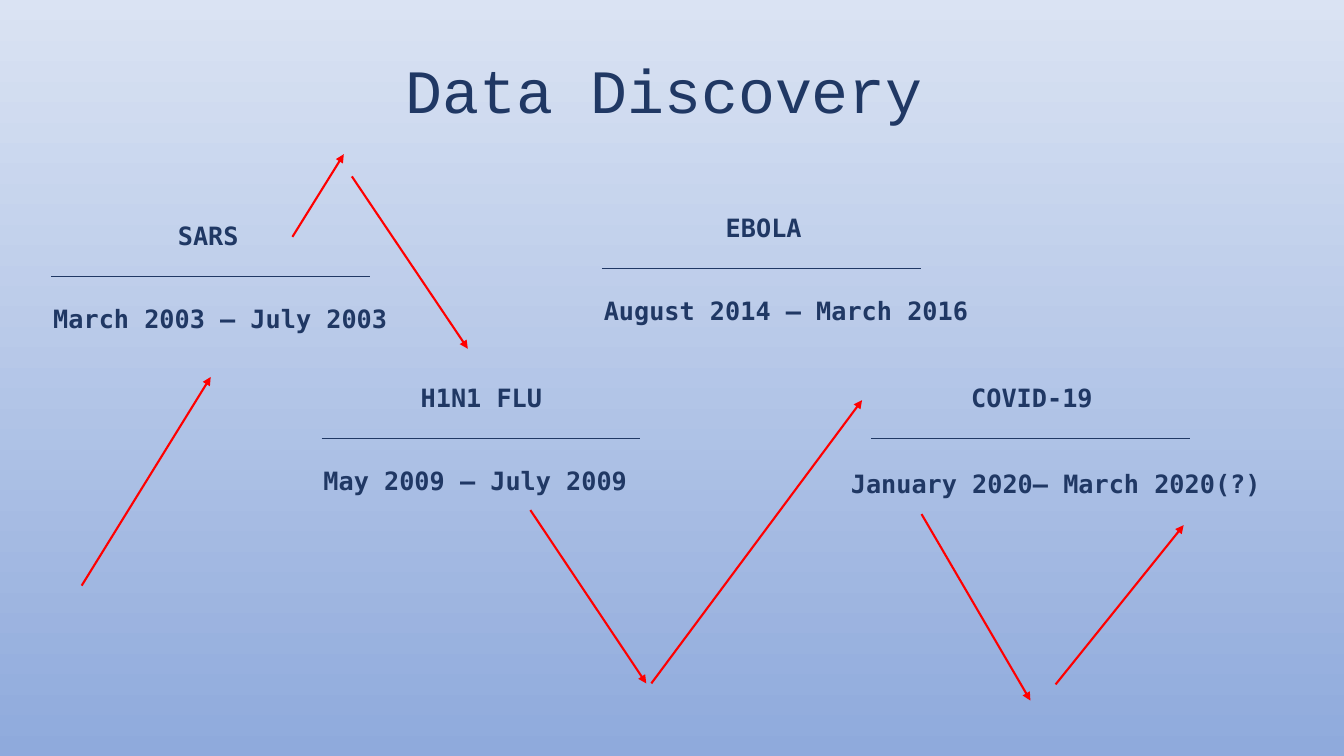
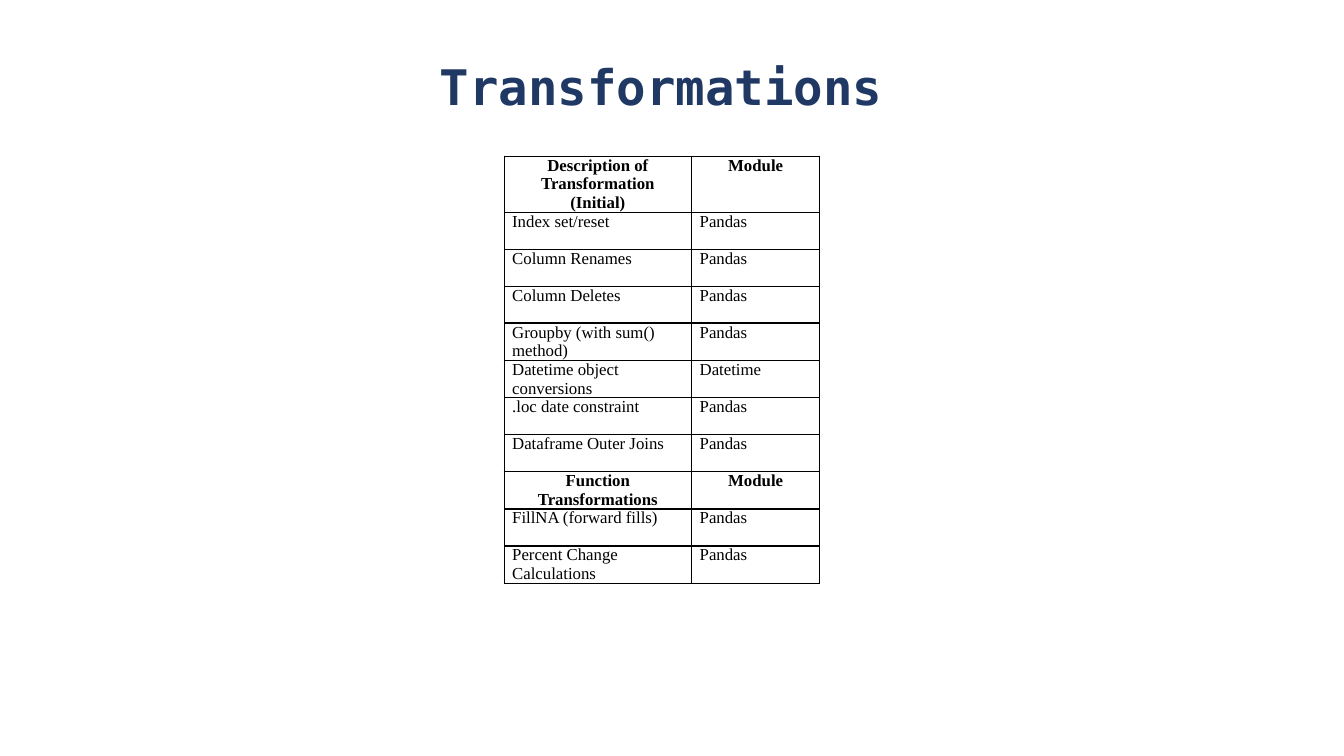
from dataclasses import dataclass

import lxml.etree
import pptx
import pptx.dml.color
import pptx.enum.shapes
import pptx.enum.text
import pptx.oxml.ns
import pptx.presentation
import pptx.shapes.connector
import pptx.slide
import pptx.table
import pptx.text.text
import pptx.util

Inches = pptx.util.Inches
Align = pptx.enum.text.PP_ALIGN
Anchor = pptx.enum.text.MSO_ANCHOR
qn = pptx.oxml.ns.qn


@dataclass(frozen=True)
class Theme:
    navy: str = "203864"
    red: str = "FF0000"
    black: str = "000000"
    white: str = "FFFFFF"
    sky_top: str = "DAE3F3"
    sky_bottom: str = "8FAADC"
    display_font: str = "Courier New"
    label_font: str = "DejaVu Sans Mono"
    table_font: str = "Times New Roman"
    display_size: float = 44
    title_size: float = 35
    label_size: float = 18
    table_size: float = 12
    rule_width: float = 0.5
    arrow_width: float = 1.5
    border_width: float = 1


@dataclass(frozen=True)
class Box:
    left: float
    top: float
    width: float
    height: float


@dataclass(frozen=True)
class Segment:
    start: tuple[float, float]
    end: tuple[float, float]


@dataclass(frozen=True)
class Outbreak:
    """A heading above a rule, with its dates below; (left, top) starts the rule."""
    name: str
    dates: str
    left: float
    top: float
    heading_shift: tuple[float, float] = (-0.22, -0.61)
    dates_shift: tuple[float, float] = (-0.08, 0.22)
    dates_size: tuple[float, float] = (3.63, 1.61)


THEME = Theme()
RULE_LENGTH = 3.16

OUTBREAKS = [
    Outbreak("SARS", "March 2003 – July 2003", 0.51, 2.74, heading_shift=(-0.26, -0.6)),
    Outbreak("H1N1 FLU", "May 2009 – July 2009", 3.19, 4.35, heading_shift=(-0.23, -0.61)),
    Outbreak("EBOLA", "August 2014 – March 2016", 5.97, 2.66,
             heading_shift=(-0.21, -0.6), dates_size=(3.97, 0.61)),
    Outbreak("COVID-19", "January 2020– March 2020(?)", 8.64, 4.35,
             dates_shift=(-0.3, 0.25), dates_size=(4.35, 1.61)),
]

TREND_ARROWS = [
    Segment((0.81, 5.81), (2.09, 3.74)),
    Segment((2.9, 2.35), (3.41, 1.53)),
    Segment((6.46, 6.78), (8.55, 3.97)),
    Segment((9.14, 5.1), (10.22, 6.95)),
    Segment((10.47, 6.79), (11.74, 5.21)),
    Segment((5.26, 5.06), (6.41, 6.78)),
    Segment((3.49, 1.75), (4.64, 3.46)),
]

TRANSFORMATIONS = [
    ("Description of Transformation (Initial)", "Module"),
    ("Index set/reset", "Pandas"),
    ("Column Renames", "Pandas"),
    ("Column Deletes", "Pandas"),
    ("Groupby (with sum() method)", "Pandas"),
    ("Datetime object conversions", "Datetime"),
    (".loc date constraint", "Pandas"),
    ("Dataframe Outer Joins", "Pandas"),
    ("Function Transformations", "Module"),
    ("FillNA (forward fills)", "Pandas"),
    ("Percent Change Calculations", "Pandas"),
]
COLUMN_WIDTHS = (1.86, 1.27)
ROW_HEIGHT = pptx.util.Pt(26.4)


# Shared helpers
def rgb(color: str) -> pptx.dml.color.RGBColor:
    return pptx.dml.color.RGBColor.from_string(color)


def write_text(frame: pptx.text.text.TextFrame, text: str, font: str, size: float,
               color: str = THEME.navy, bold: bool = False,
               align: Align = Align.LEFT) -> pptx.text.text._Paragraph:
    frame.word_wrap = True
    paragraph = frame.paragraphs[0]
    paragraph.text = text
    paragraph.alignment = align
    paragraph.font.name = font
    paragraph.font.size = pptx.util.Pt(size)
    paragraph.font.bold = bold
    paragraph.font.color.rgb = rgb(color)
    return paragraph


def add_titled_slide(presentation: pptx.presentation.Presentation, text: str, box: Box,
                     font: str, size: float, bold: bool, align: Align,
                     anchor: Anchor) -> pptx.slide.Slide:
    slide = presentation.slides.add_slide(presentation.slide_layouts[5])
    title = slide.shapes.title
    title.left, title.top = Inches(box.left), Inches(box.top)
    title.width, title.height = Inches(box.width), Inches(box.height)
    title.text_frame.auto_size = pptx.enum.text.MSO_AUTO_SIZE.NONE
    title.text_frame.vertical_anchor = anchor
    paragraph = write_text(title.text_frame, text, font, size, bold=bold, align=align)
    paragraph.line_spacing = 0.9
    return slide


def add_label(slide: pptx.slide.Slide, text: str, box: Box, align: Align) -> None:
    shape = slide.shapes.add_textbox(
        Inches(box.left), Inches(box.top), Inches(box.width), Inches(box.height))
    write_text(shape.text_frame, text, THEME.label_font, THEME.label_size,
               bold=True, align=align)


def add_line(slide: pptx.slide.Slide, segment: Segment, color: str, width: float,
             arrow: bool = False) -> None:
    connector = slide.shapes.add_connector(
        pptx.enum.shapes.MSO_CONNECTOR.STRAIGHT,
        *(Inches(value) for value in segment.start + segment.end))
    connector.line.color.rgb = rgb(color)
    connector.line.width = pptx.util.Pt(width)
    properties = connector.element.spPr
    if arrow:
        lxml.etree.SubElement(properties.find(qn("a:ln")), qn("a:tailEnd"), type="triangle")
    lxml.etree.SubElement(properties, qn("a:effectLst"))


def add_borders(cell: pptx.table._Cell) -> None:
    properties = cell._tc.get_or_add_tcPr()
    for position, side in enumerate(("lnL", "lnR", "lnT", "lnB")):
        border = lxml.etree.Element(
            qn(f"a:{side}"), w=str(int(pptx.util.Pt(THEME.border_width))))
        fill = lxml.etree.SubElement(border, qn("a:solidFill"))
        lxml.etree.SubElement(fill, qn("a:srgbClr"), val=THEME.black)
        properties.insert(position, border)


# Slide 1: outbreaks and their trends
def add_outbreak(slide: pptx.slide.Slide, outbreak: Outbreak) -> None:
    left, top = outbreak.left, outbreak.top
    dates_x, dates_y = outbreak.dates_shift
    heading_x, heading_y = outbreak.heading_shift
    add_label(slide, outbreak.dates,
              Box(left + dates_x, top + dates_y, *outbreak.dates_size), Align.LEFT)
    add_line(slide, Segment((left, top), (left + RULE_LENGTH, top)),
             THEME.navy, THEME.rule_width)
    add_label(slide, outbreak.name,
              Box(left + heading_x, top + heading_y, 3.63, 0.71), Align.CENTER)


def build_discovery(presentation: pptx.presentation.Presentation) -> None:
    slide = add_titled_slide(presentation, "Data Discovery", Box(0.63, 0.28, 11.92, 1.3),
                             THEME.display_font, THEME.display_size, False,
                             Align.CENTER, Anchor.MIDDLE)
    background = slide.background.fill
    background.gradient()
    background.gradient_angle = 270
    for stop, color in zip(background.gradient_stops, (THEME.sky_top, THEME.sky_bottom)):
        stop.color.rgb = rgb(color)
    for outbreak in OUTBREAKS:
        add_outbreak(slide, outbreak)
    for segment in TREND_ARROWS:
        add_line(slide, segment, THEME.red, THEME.arrow_width, arrow=True)


# Slide 2: table of transformations
def fill_cell(cell: pptx.table._Cell, text: str, heading: bool) -> None:
    cell.margin_left = cell.margin_right = Inches(0.08)
    cell.margin_top = cell.margin_bottom = 0
    write_text(cell.text_frame, text, THEME.table_font, THEME.table_size, THEME.black,
               heading, Align.CENTER if heading else Align.LEFT)
    cell.fill.background()
    add_borders(cell)


def build_transformations(presentation: pptx.presentation.Presentation) -> None:
    slide = add_titled_slide(presentation, "Transformations", Box(4.26, 0.07, 4.61, 1.13),
                             THEME.label_font, THEME.title_size, True,
                             Align.LEFT, Anchor.BOTTOM)
    slide.background.fill.solid()
    slide.background.fill.fore_color.rgb = rgb(THEME.white)
    row_count = len(TRANSFORMATIONS)
    table = slide.shapes.add_table(
        row_count, len(COLUMN_WIDTHS), Inches(5), Inches(1.55),
        Inches(sum(COLUMN_WIDTHS)), ROW_HEIGHT * row_count).table
    table.first_row = table.horz_banding = False
    for column, width in zip(table.columns, COLUMN_WIDTHS):
        column.width = Inches(width)
    for row, texts in zip(table.rows, TRANSFORMATIONS):
        row.height = ROW_HEIGHT
        for cell, text in zip(row.cells, texts):
            fill_cell(cell, text, heading=texts[1] == "Module")


def main() -> None:
    presentation = pptx.Presentation()
    presentation.slide_width = Inches(13.33)
    presentation.slide_height = Inches(7.5)
    build_discovery(presentation)
    build_transformations(presentation)
    presentation.save("out.pptx")


if __name__ == "__main__":
    main()
